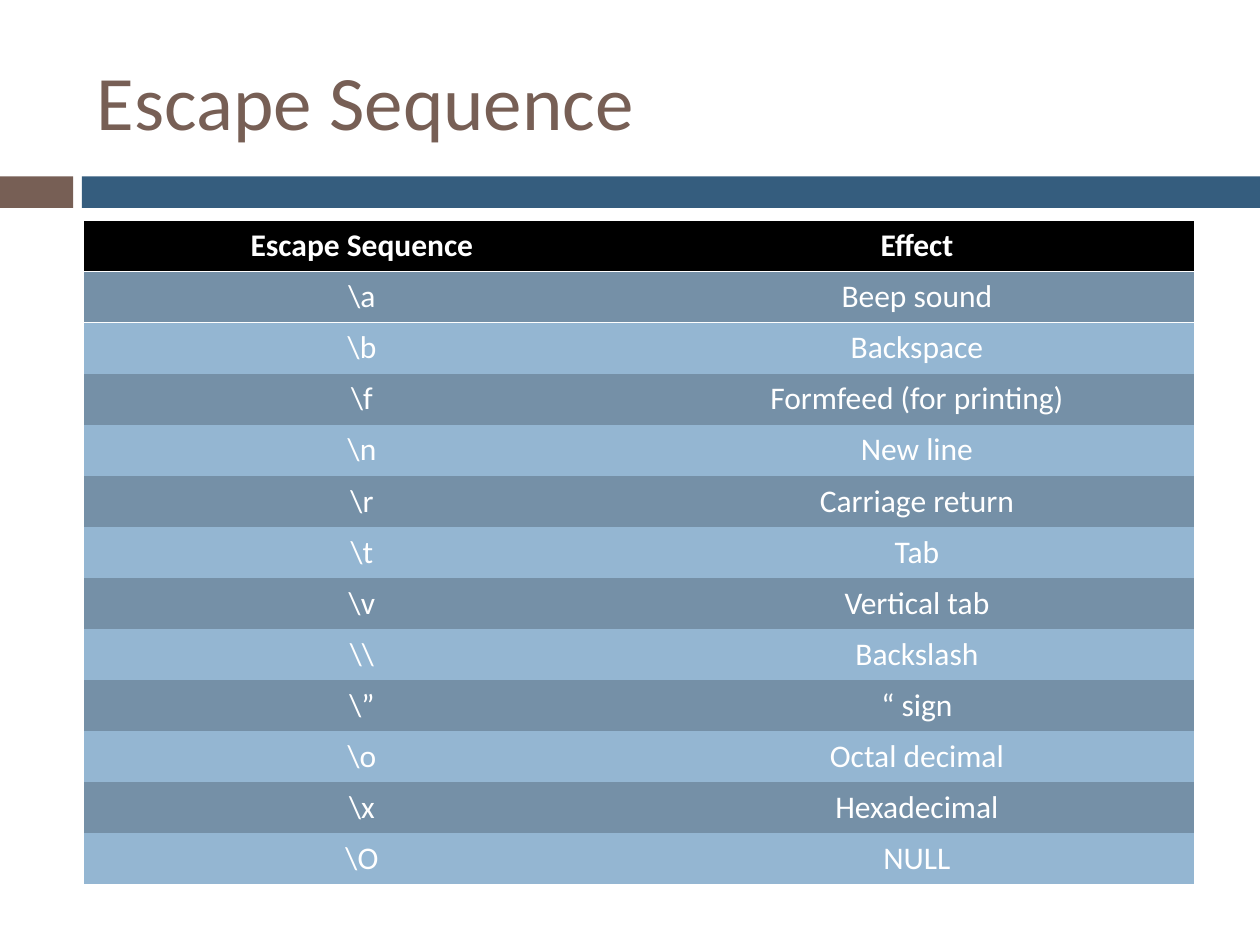
from pptx import Presentation
from pptx import util as u
from pptx.dml.color import RGBColor
from pptx.enum import shapes, text
from pptx.oxml import parse_xml
from pptx.oxml.ns import nsdecls, qn

PLAIN_TABLE = "{2D5ABB26-0587-4C30-8999-92F81FD0307C}"
ROWS = [
    ("Escape Sequence", "Effect"),
    (r"\a", "Beep sound"),
    (r"\b", "Backspace"),
    (r"\f", "Formfeed (for printing)"),
    (r"\n", "New line"),
    (r"\r", "Carriage return"),
    (r"\t", "Tab"),
    (r"\v", "Vertical tab"),
    ("\\\\", "Backslash"),
    (r"\”", "“ sign"),
    (r"\o", "Octal decimal"),
    (r"\x", "Hexadecimal"),
    (r"\O", "NULL"),
]


def colour(value):
    return RGBColor.from_string(value)


def inches(*lengths):
    return [u.Inches(length) for length in lengths]


class SlideBuilder:
    font = "Calibri"
    brown = "775F55"
    blue = "355D7E"
    white = "FFFFFF"
    header = "000000"
    bands = ("7590A7", "94B6D2")

    def __init__(self, slide):
        self.slide = slide

    def add_words(self, para, words, shade, **formats):
        span = para.add_run()
        span.text = words
        span.font.color.rgb = colour(shade)
        for name, value in {"name": self.font, **formats}.items():
            setattr(span.font, name, value)

    def bar(self, place, shade):
        bar = self.slide.shapes.add_shape(shapes.MSO_SHAPE.RECTANGLE, *inches(*place))
        bar.shadow.inherit = False
        bar.fill.solid()
        bar.fill.fore_color.rgb = colour(shade)
        bar.line.fill.background()

    def title(self, place, words):
        box = self.slide.shapes.add_textbox(*inches(*place))
        frame = box.text_frame
        frame.word_wrap = True
        frame.vertical_anchor = text.MSO_ANCHOR.MIDDLE
        self.add_words(frame.paragraphs[0], words, self.brown, size=u.Pt(44))

    def border(self, cell, side):
        line = parse_xml(
            f'<a:{side} {nsdecls("a")} w="{u.Pt(0.96)}"><a:solidFill>'
            f'<a:srgbClr val="{self.white}"/></a:solidFill></a:{side}>'
        )
        cell._tc.get_or_add_tcPr().insert(0, line)

    def table(self, place, rows):
        frame = self.slide.shapes.add_table(len(rows), len(rows[0]), *inches(*place))
        table = frame.table
        table.horz_banding = False
        table._tbl.tblPr.find(qn("a:tableStyleId")).text = PLAIN_TABLE
        for row, entries in enumerate(rows):
            heading = row == 0
            shade = self.header if heading else self.bands[(row - 1) % 2]
            for column, words in enumerate(entries):
                cell = table.cell(row, column)
                cell.fill.solid()
                cell.fill.fore_color.rgb = colour(shade)
                if row < 2:
                    self.border(cell, "lnB" if heading else "lnT")
                para = cell.text_frame.paragraphs[0]
                para.alignment = text.PP_ALIGN.CENTER
                self.add_words(para, words, self.white, size=u.Pt(18), bold=heading)


def main():
    deck = Presentation()
    deck.slide_width, deck.slide_height = inches(10, 7.5)
    page = SlideBuilder(deck.slides.add_slide(deck.slide_layouts[6]))
    page.bar((0, 1.4, 0.58, 0.25), page.brown)
    page.bar((0.65, 1.4, 9.35, 0.25), page.blue)
    page.title((0.67, 0.25, 8.92, 1.08), "Escape Sequence")
    page.table((0.67, 1.75, 8.81, 5.27), ROWS)
    deck.save("out.pptx")


if __name__ == "__main__":
    main()
